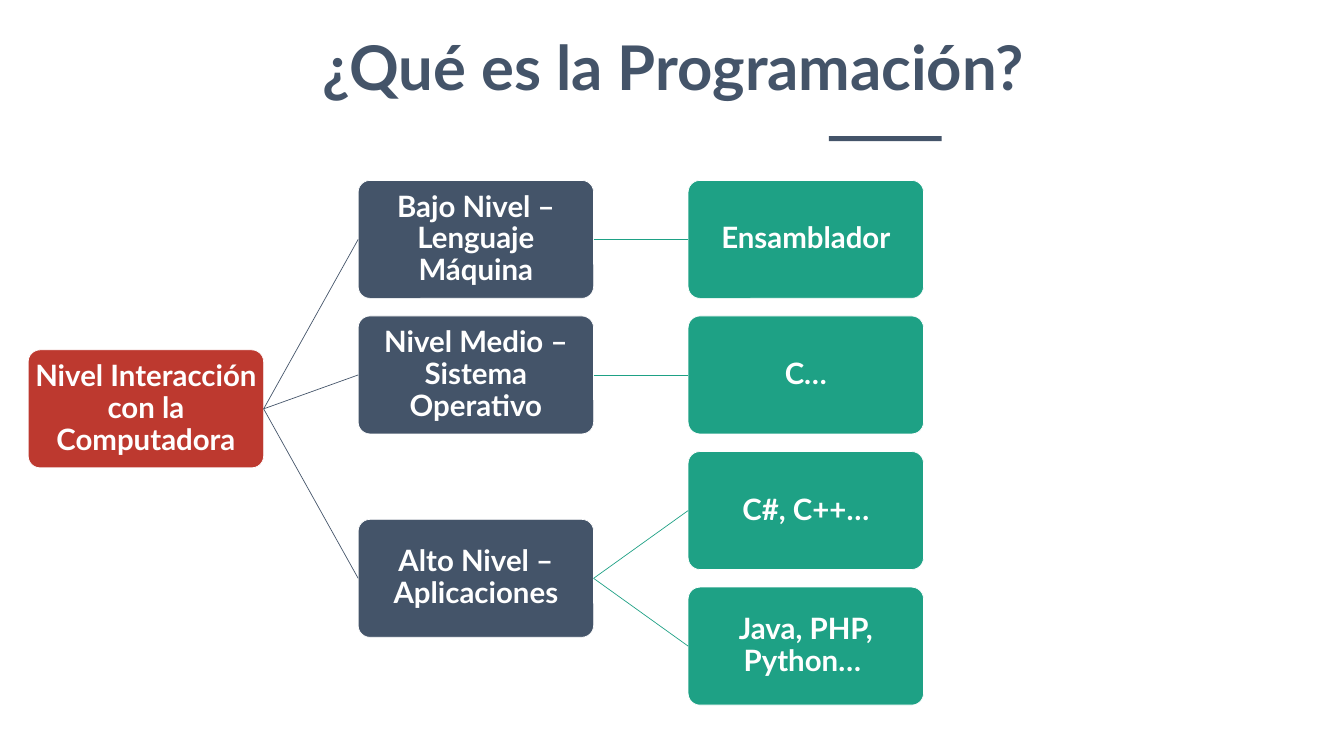
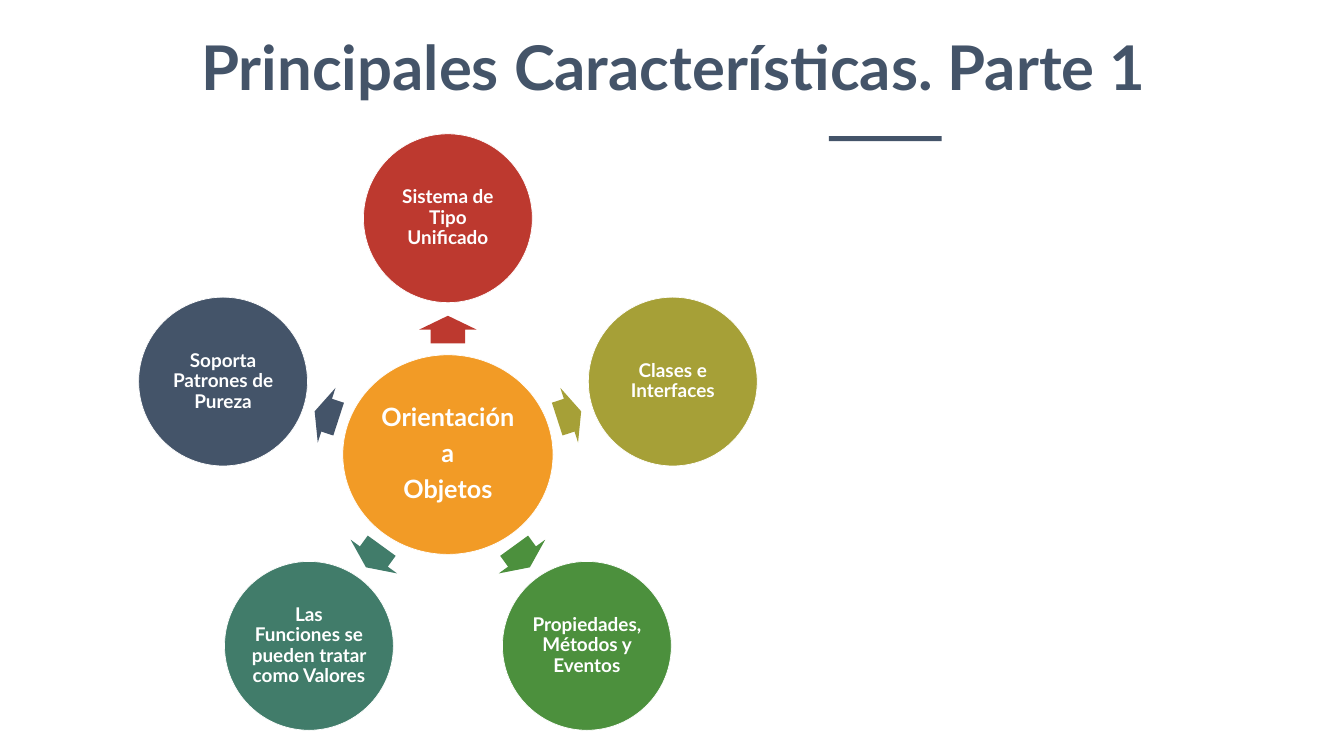
from dataclasses import dataclass
from math import cos, radians, sin

from lxml import etree
from pptx import Presentation
from pptx.dml.color import RGBColor
from pptx.enum import shapes, text
from pptx.oxml.ns import qn
from pptx.util import Inches, Pt

FONT = "Lato"
WHITE, SLATE, RED, TEAL = "FFFFFF", "445469", "BD392F", "1EA185"
ORANGE, OLIVE, GREEN, PINE = "F29B26", "A6A037", "4C903D", "417C6A"

# Tree layout
BOX_W, BOX_H = 4.67, 2.34
TREE_LEFT, TREE_TOP = 0.56, 3.58
COLUMN_STEP, ROW_STEP = 6.545, 2.69
LEVEL_COLORS = (RED, SLATE, TEAL)

# Radial layout
HUB_X, HUB_Y = 8.885, 9.02
HUB_W, HUB_H = 4.17, 3.96
ORBIT, CIRCLE = 4.69, 3.35
ARROW_H = 1.14


@dataclass
class Node:
    label: str
    children: tuple["Node", ...] = ()


@dataclass
class Spoke:
    label: str
    color: str
    arrow_length: float
    arrow_distance: float


TREE = Node("Nivel Interacción con la Computadora", (
    Node("Bajo Nivel – Lenguaje Máquina", (Node("Ensamblador"),)),
    Node("Nivel Medio – Sistema Operativo", (Node("C…"),)),
    Node("Alto Nivel – Aplicaciones", (
        Node("C#, C++…"),
        Node("Java, PHP, Python… "),
    )),
))

SPOKES = (
    Spoke("Sistema de Tipo Unificado", RED, 0.55, 2.48),
    Spoke("Clases e Interfaces", OLIVE, 0.5, 2.53),
    Spoke("Propiedades, Métodos y Eventos", GREEN, 0.53, 2.5),
    Spoke("Las Funciones se pueden tratar como Valores", PINE, 0.53, 2.5),
    Spoke("Soporta Patrones de Pureza", SLATE, 0.5, 2.53),
)


def rgb(color: str) -> RGBColor:
    return RGBColor.from_string(color)


def write(tf, content: str, *, size: float, color: str = WHITE, inset: float | None = None,
          line_spacing: float | None = None, space_after: float | None = None,
          anchor=text.MSO_ANCHOR.TOP) -> None:
    """Fill a text frame with centred bold paragraphs, one per line of content."""
    tf.word_wrap = True
    tf.vertical_anchor = anchor
    if inset is not None:
        tf.margin_left = tf.margin_right = tf.margin_top = tf.margin_bottom = Inches(inset)
    for i, line in enumerate(content.split("\n")):
        p = tf.add_paragraph() if i else tf.paragraphs[0]
        p.alignment = text.PP_ALIGN.CENTER
        if line_spacing is not None:
            p.line_spacing = line_spacing
        if space_after is not None:
            p.space_after = Pt(space_after)
        r = p.add_run()
        r.text = line
        r.font.name, r.font.size, r.font.bold = FONT, Pt(size), True
        r.font.color.rgb = rgb(color)


def add_shape(s, kind, x: float, y: float, w: float, h: float, fill: str,
              outline: str | None = None):
    sp = s.shapes.add_shape(kind, Inches(x), Inches(y), Inches(w), Inches(h))
    sp.shadow.inherit = False
    sp.fill.solid()
    sp.fill.fore_color.rgb = rgb(fill)
    if outline:
        sp.line.color.rgb = rgb(outline)
        sp.line.width = Pt(1)
    else:
        sp.line.fill.background()
    return sp


def add_label_shape(s, kind, x: float, y: float, w: float, h: float, fill: str,
                    label: str, size: float, inset: float):
    sp = add_shape(s, kind, x, y, w, h, fill, WHITE)
    write(sp.text_frame, label, size=size, inset=inset, line_spacing=0.9,
          space_after=size * 0.35, anchor=text.MSO_ANCHOR.MIDDLE)
    return sp


def join(s, parent, child, color: str) -> None:
    """Connect the right side of parent to the left side of child."""
    cx = s.shapes.add_connector(shapes.MSO_CONNECTOR.STRAIGHT, 0, 0, 0, 0)
    cx.begin_connect(parent, 3)
    cx.end_connect(child, 1)
    cx.line.color.rgb = rgb(color)
    cx.line.width = Pt(1)
    etree.SubElement(cx._element.spPr, qn("a:effectLst"))


def new_slide(prs, title: str):
    """Add a blank slide with the shared title and accent bar."""
    s = prs.slides.add_slide(prs.slide_layouts[6])
    tb = s.shapes.add_textbox(Inches(0.26), Inches(0.53), Inches(26.2), Inches(1.58))
    write(tb.text_frame, title, size=88, color=SLATE)
    tb.text_frame.auto_size = text.MSO_AUTO_SIZE.SHAPE_TO_FIT_TEXT
    add_shape(s, shapes.MSO_SHAPE.RECTANGLE, 16.44, 2.7, 2.24, 0.1, SLATE)
    return s


def draw_tree(s, node: Node, level: int = 0, first_row: int = 0):
    """Draw a node midway between its outer children; return box, row and next free row."""
    row, next_row = float(first_row), first_row
    boxes, rows = [], []
    for child in node.children:
        box, child_row, next_row = draw_tree(s, child, level + 1, next_row)
        boxes.append(box)
        rows.append(child_row)
    if rows:
        row = (rows[0] + rows[-1]) / 2
    else:
        next_row += 1
    sp = add_label_shape(s, shapes.MSO_SHAPE.ROUNDED_RECTANGLE,
                         TREE_LEFT + level * COLUMN_STEP, TREE_TOP + row * ROW_STEP,
                         BOX_W, BOX_H, LEVEL_COLORS[level], node.label, 42, 0.03)
    sp.adjustments[0] = 0.1
    for box in boxes:
        join(s, sp, box, LEVEL_COLORS[level + 1])
    return sp, row, next_row


def draw_radial(s, hub: str, spokes: tuple[Spoke, ...]) -> None:
    add_label_shape(s, shapes.MSO_SHAPE.OVAL, HUB_X - HUB_W / 2, HUB_Y - HUB_H / 2,
                    HUB_W, HUB_H, ORANGE, hub, 36, 0.05)
    for i, spoke in enumerate(spokes):
        angle = (270 + i * 360 / len(spokes)) % 360
        dx, dy = cos(radians(angle)), sin(radians(angle))
        arrow = add_shape(s, shapes.MSO_SHAPE.RIGHT_ARROW,
                          HUB_X + spoke.arrow_distance * dx - spoke.arrow_length / 2,
                          HUB_Y + spoke.arrow_distance * dy - ARROW_H / 2,
                          spoke.arrow_length, ARROW_H, spoke.color)
        arrow.adjustments[0], arrow.adjustments[1] = 0.6, 0.5
        arrow.rotation = angle
        add_label_shape(s, shapes.MSO_SHAPE.OVAL, HUB_X + ORBIT * dx - CIRCLE / 2,
                        HUB_Y + ORBIT * dy - CIRCLE / 2, CIRCLE, CIRCLE,
                        spoke.color, spoke.label, 27, 0.04)


def main() -> None:
    prs = Presentation()
    prs.slide_width, prs.slide_height = Inches(26.66), Inches(15)

    # Levels of programming
    draw_tree(new_slide(prs, "¿Qué es la Programación?"), TREE)

    # Main features
    draw_radial(new_slide(prs, "Principales Características. Parte 1"),
                "Orientación\na\nObjetos", SPOKES)

    prs.save("out.pptx")


if __name__ == "__main__":
    main()
